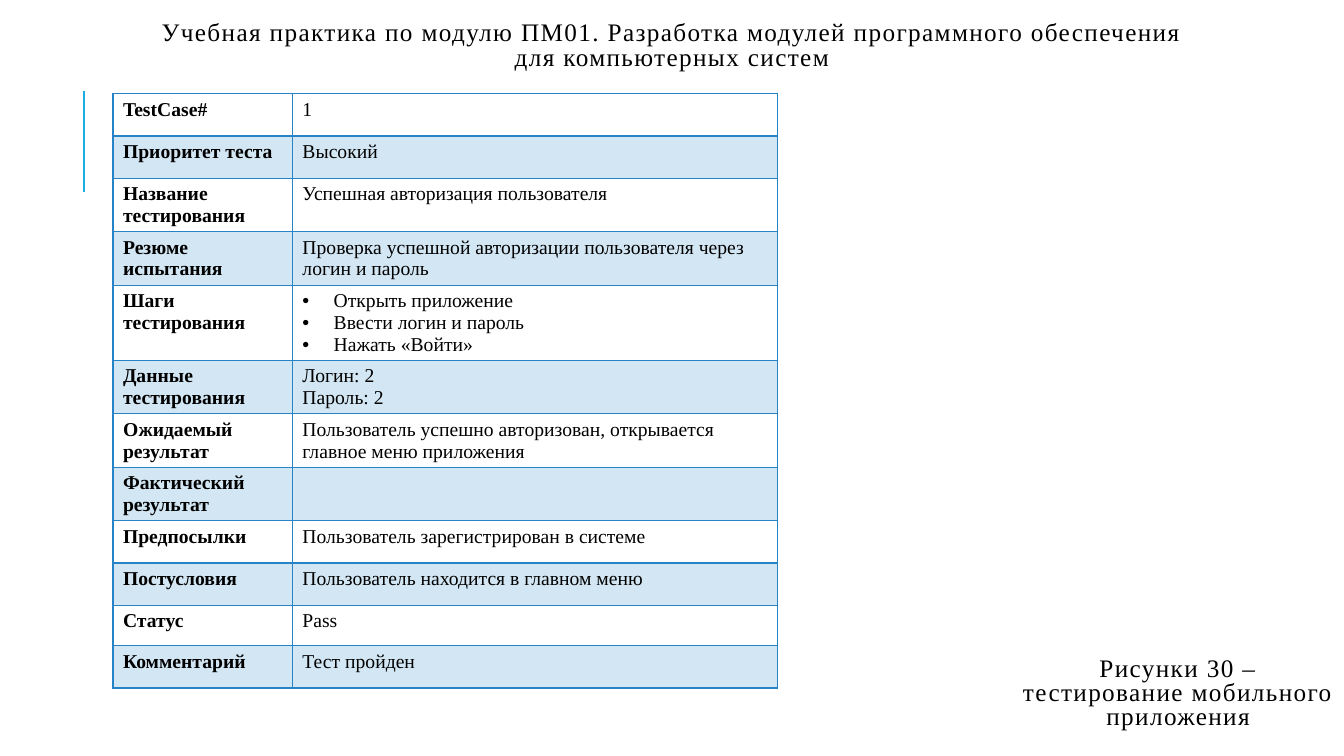
"""Builds a slide with a test case table for a mobile application."""
from dataclasses import dataclass

import pptx
import pptx.dml.color
import pptx.enum.shapes
import pptx.enum.text
import pptx.oxml
import pptx.oxml.ns
import pptx.util
from pptx.util import Inches


@dataclass(frozen=True)
class Theme:
    font: str = "Times New Roman"
    text: str = "000000"
    accent: str = "1CADE4"
    table: str = "2683C6"
    heading_size: int = 18
    cell_size: int = 14
    band_opacity: int = 20


theme = Theme()
rgb = pptx.dml.color.RGBColor.from_string
namespace = pptx.oxml.ns.nsdecls("a")


def add_run(paragraph, text, size, bold=False):
    run = paragraph.add_run()
    run.text = text
    run.font.name = theme.font
    run.font.size = pptx.util.Pt(size)
    run.font.bold = bold
    run.font.color.rgb = rgb(theme.text)
    return run


def write_heading(shape, text):
    frame = shape.text_frame
    frame.word_wrap = True
    frame.auto_size = pptx.enum.text.MSO_AUTO_SIZE.NONE
    frame.vertical_anchor = pptx.enum.text.MSO_ANCHOR.MIDDLE
    paragraph = frame.paragraphs[0]
    paragraph.alignment = pptx.enum.text.PP_ALIGN.CENTER
    paragraph.line_spacing = 0.8
    run = add_run(paragraph, text, theme.heading_size)
    run.font._element.set("spc", "100")


presentation = pptx.Presentation()
presentation.slide_width = Inches(13.33)
presentation.slide_height = Inches(7.5)
slide = presentation.slides.add_slide(presentation.slide_layouts[5])

accent_line = slide.shapes.add_connector(
    pptx.enum.shapes.MSO_CONNECTOR.STRAIGHT,
    Inches(0.83), Inches(1.9), Inches(0.83), Inches(0.9))
accent_line.line.color.rgb = rgb(theme.accent)
accent_line.line.width = pptx.util.Pt(1.5)
accent_line._element.spPr.append(pptx.oxml.parse_xml(f"<a:effectLst {namespace}/>"))

module_heading = slide.shapes.add_textbox(
    Inches(1.36), Inches(0), Inches(10.61), Inches(0.93))
write_heading(module_heading, "Учебная практика по модулю ПМ01. Разработка модулей "
              "программного обеспечения для компьютерных систем")

caption = slide.shapes.title
caption.left, caption.top = Inches(10.03), Inches(6.28)
caption.width, caption.height = Inches(3.31), Inches(1.21)
write_heading(caption, "Рисунки 30 – тестирование мобильного приложения")

test_case = [
    ("TestCase#", ["1"], 0.42),
    ("Приоритет теста", ["Высокий"], 0.42),
    ("Название тестирования", ["Успешная авторизация пользователя"], 0.49),
    ("Резюме испытания",
     ["Проверка успешной авторизации пользователя через логин и пароль"], 0.49),
    ("Шаги тестирования",
     ["Открыть приложение", "Ввести логин и пароль", "Нажать «Войти»"], 0.7),
    ("Данные тестирования", ["Логин: 2", "Пароль: 2"], 0.49),
    ("Ожидаемый результат",
     ["Пользователь успешно авторизован, открывается главное меню приложения"], 0.49),
    ("Фактический результат", [], 0.49),
    ("Предпосылки", ["Пользователь зарегистрирован в системе"], 0.42),
    ("Постусловия", ["Пользователь находится в главном меню"], 0.42),
    ("Статус", ["Pass"], 0.4),
    ("Комментарий", ["Тест пройден"], 0.42),
]
bulleted_row = "Шаги тестирования"
column_widths = [1.78, 4.81]

table = slide.shapes.add_table(
    len(test_case), len(column_widths), Inches(1.12), Inches(0.93),
    Inches(sum(column_widths)), Inches(sum(row[2] for row in test_case))).table
table.first_row = False
table.horz_banding = False
for column, width in zip(table.columns, column_widths):
    column.width = Inches(width)

for row_index, (label, values, height) in enumerate(test_case):
    table.rows[row_index].height = Inches(height)
    for column_index, lines in enumerate([[label], values]):
        cell = table.cell(row_index, column_index)
        is_label = column_index == 0
        for line_index, text in enumerate(lines):
            frame = cell.text_frame
            paragraph = frame.add_paragraph() if line_index else frame.paragraphs[0]
            if label == bulleted_row and not is_label:
                properties = paragraph._p.get_or_add_pPr()
                properties.set("marL", str(Inches(0.31)))
                properties.set("indent", str(-Inches(0.31)))
                properties.append(pptx.oxml.parse_xml(
                    f'<a:buFont {namespace} typeface="Arial"/>'))
                properties.append(pptx.oxml.parse_xml(
                    f'<a:buChar {namespace} char="•"/>'))
            add_run(paragraph, text, theme.cell_size, bold=is_label)

        cell_properties = cell._tc.get_or_add_tcPr()
        if row_index % 2:
            cell.fill.solid()
            cell.fill.fore_color.rgb = rgb(theme.table)
            color = cell_properties.find(".//" + pptx.oxml.ns.qn("a:srgbClr"))
            color.append(pptx.oxml.parse_xml(
                f'<a:alpha {namespace} val="{theme.band_opacity * 1000}"/>'))
        else:
            cell.fill.background()

        for position, side in enumerate("LRTB"):
            under_header = (row_index, side) in [(0, "B"), (1, "T")]
            width = pptx.util.Pt(2 if under_header else 1)
            cell_properties.insert(position, pptx.oxml.parse_xml(
                f'<a:ln{side} {namespace} w="{width}"><a:solidFill>'
                f'<a:srgbClr val="{theme.table}"/></a:solidFill></a:ln{side}>'))

presentation.save("out.pptx")
